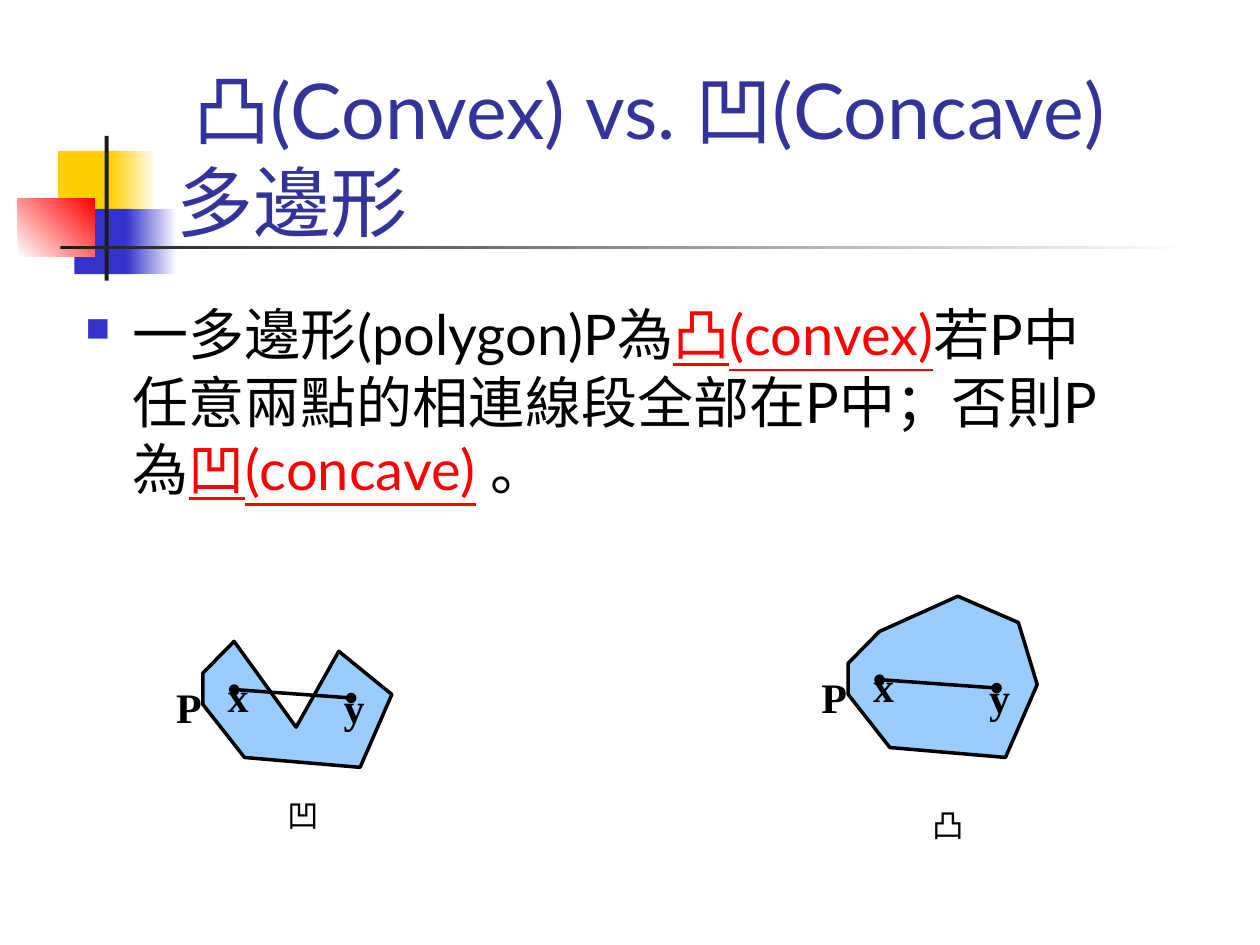
from lxml import etree
from pptx import Presentation
from pptx.dml.color import RGBColor
from pptx.enum.shapes import MSO_CONNECTOR, MSO_SHAPE
from pptx.enum.text import MSO_ANCHOR
from pptx.oxml.ns import qn
from pptx.util import Cm, Pt

RECT = MSO_SHAPE.RECTANGLE
LINE = MSO_CONNECTOR.STRAIGHT
BOTTOM = MSO_ANCHOR.BOTTOM

WHITE = RGBColor(0xFF, 0xFF, 0xFF)
BLACK = RGBColor(0, 0, 0)
DARK = RGBColor(0x1C, 0x1C, 0x1C)
GOLD = RGBColor(0xFF, 0xCF, 0x01)
BLUE = RGBColor(0x33, 0x33, 0xCC)
NAVY = RGBColor(0x33, 0x33, 0x99)
RED = RGBColor(0xFF, 0, 0)
SKY = RGBColor(0x99, 0xCC, 0xFF)

BASE = [(4.6, 1.07), (3.96, 2.54), (1.63, 2.34), (0.79, 1.27), (0.79, 0.64)]
CONCAVE = [(1.42, 0), (2.67, 1.73), (3.53, 0.2)] + BASE
CONVEX = [(1.42, 0), (3, -0.71), (4.22, -0.18)] + BASE


def style(run, size, font, color, bold=False, under=False):
    """Format one run of text."""
    run.font.size = Pt(size)
    run.font.name = font
    run.font.color.rgb = color
    run.font.bold = bold
    run.font.underline = under


def add_text(slide, box, text, size, font, color, bold=False, wrap=False):
    """Add a text box in one style and return its frame."""
    frame = slide.shapes.add_textbox(*map(Cm, box)).text_frame
    frame.word_wrap = wrap
    frame.text = text
    for run in frame.paragraphs[0].runs:
        style(run, size, font, color, bold)
    return frame


def add_block(slide, box, start, end=None, angle=0):
    """Add a borderless rectangle, plain or with a gradient."""
    shape = slide.shapes.add_shape(RECT, *map(Cm, box))
    shape.shadow.inherit = False
    shape.line.fill.background()
    if end is None:
        shape.fill.solid()
        shape.fill.fore_color.rgb = start
        return
    shape.fill.gradient()
    shape.fill.gradient_angle = angle
    for stop, color in zip(shape.fill.gradient_stops, (start, end)):
        stop.color.rgb = color


def add_motif(slide, left, top):
    """Draw the coloured squares and the two rules beside the title."""
    blocks = [
        ((0.81, 0.3, 1.22, 1.32), GOLD),
        ((1.88, 0.3, 0.91, 1.32), GOLD, WHITE),
        ((1.14, 1.47, 1.17, 1.32), BLUE),
        ((2.18, 1.47, 1.02, 1.32), BLUE, WHITE),
        ((0, 1.27, 1.55, 1.17), WHITE, RED, 45),
        ((1.75, 0, 0.08, 2.92), DARK),
        ((0.86, 2.21, 22.86, 0.08), DARK, WHITE),
    ]
    for (x, y, wide, high), *paint in blocks:
        add_block(slide, (left + x, top + y, wide, high), *paint)


def add_title(slide, box):
    """Place the title on the bottom edge of its box."""
    text = " 凸(Convex) vs. 凹(Concave)\v多邊形"
    frame = add_text(slide, box, text, 44, "Lato", NAVY, wrap=True)
    frame.vertical_anchor = BOTTOM


def add_body(slide, box):
    """Place the bulleted definition with its key terms marked."""
    frame = add_text(slide, box, "", 32, "Lato", BLACK, wrap=True)
    para = frame.paragraphs[0]
    para.space_before = Pt(8)
    parts = ["一多邊形(polygon)P為", "凸(convex)",
             "若P中任意兩點的相連線段全部在P中；否則P為", "凹(concave)", " 。"]
    for index, part in enumerate(parts):
        run = para.add_run()
        run.text = part
        term = index % 2 == 1
        style(run, 32, "Lato", RED if term else BLACK, under=term)
    props = para._p.get_or_add_pPr()
    props.set("marL", str(Cm(0.96)))
    props.set("indent", str(-Cm(0.96)))
    tint = etree.SubElement(props, qn("a:buClr"))
    etree.SubElement(tint, qn("a:srgbClr"), val=str(BLUE))
    etree.SubElement(props, qn("a:buSzPct"), val="60000")
    etree.SubElement(props, qn("a:buChar"), char="■")


def add_chord(slide, start, end):
    """Join two points by a line with round ends."""
    line = slide.shapes.add_connector(LINE, *map(Cm, start + end))
    line.line.color.rgb = BLACK
    line.line.width = Pt(2)
    stroke = line.line._get_or_add_ln()
    for tag in ("a:headEnd", "a:tailEnd"):
        etree.SubElement(stroke, qn(tag), type="oval")
    etree.SubElement(line._element.spPr, qn("a:effectLst"))


def add_figure(slide, left, top, points, name, drop):
    """Draw a polygon with its chord, labels and caption."""
    spots = [(Cm(left + x), Cm(top + y)) for x, y in points]
    maker = slide.shapes.build_freeform(*spots[0])
    maker.add_line_segments(spots[1:], close=True)
    shape = maker.convert_to_shape()
    shape.shadow.inherit = False
    shape.fill.solid()
    shape.fill.fore_color.rgb = SKY
    shape.line.color.rgb = BLACK
    shape.line.width = Pt(2)
    add_chord(slide, (left + 1.42, top + 0.97), (left + 3.78, top + 1.14))
    labels = [("x", 1.04, 0.46, 0.91), ("y", 3.38, 0.69, 0.91),
              ("P", 0, 0.69, 1.02)]
    for text, x, y, wide in labels:
        box = (left + x, top + y, wide, 1.27)
        add_text(slide, box, text, 24, "Times New Roman", BLACK, bold=True)
    box = (left + 2.24, top + drop, 1.14, 1.02)
    add_text(slide, box, name, 18, "Arial", BLACK)


def main():
    """Build the slide and save it."""
    deck = Presentation()
    deck.slide_width, deck.slide_height = Cm(25.4), Cm(19.05)
    slide = deck.slides.add_slide(deck.slide_layouts[6])
    add_motif(slide, 0.36, 2.74)
    add_title(slide, (3.3, 0.84, 20.62, 4.27))
    add_body(slide, (1.47, 5.92, 21.21, 11.86))
    add_figure(slide, 3.3, 12.93, CONCAVE, "凹", 3)
    add_figure(slide, 16.31, 12.73, CONVEX, "凸", 3.4)
    deck.save("out.pptx")


if __name__ == "__main__":
    main()
